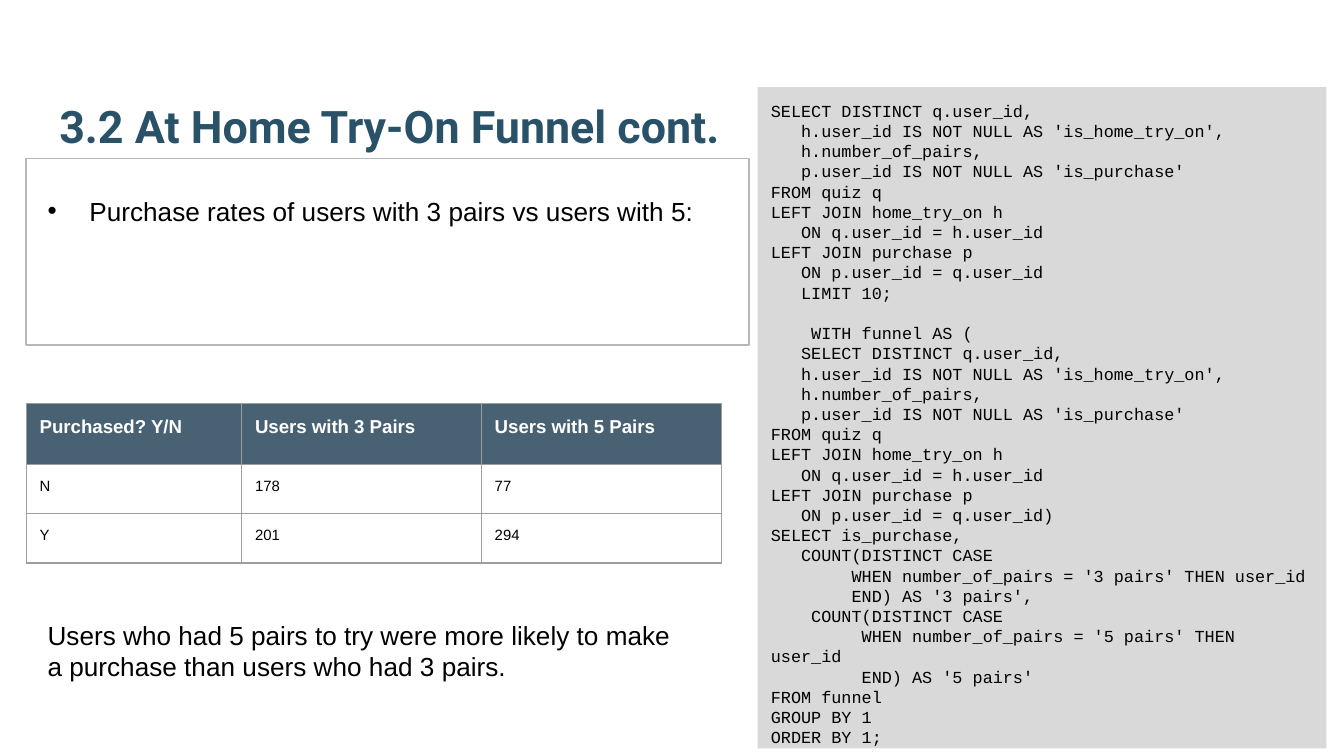
import pptx
import pptx.dml.color
import pptx.enum.shapes
import pptx.enum.text
import pptx.oxml.ns
import lxml.etree
from pptx.util import Cm, Pt

RGBColor = pptx.dml.color.RGBColor
ANCHOR = pptx.enum.text.MSO_ANCHOR
RECT = pptx.enum.shapes.MSO_SHAPE.RECTANGLE

TEAL = RGBColor(0x29, 0x52, 0x69)
HEADER = RGBColor(0x20, 0x40, 0x56)
PANEL = RGBColor(0xD9, 0xD9, 0xD9)
FRAME = RGBColor(0xB7, 0xB7, 0xB7)
GRID = RGBColor(0x9E, 0x9E, 0x9E)
BLACK = RGBColor(0, 0, 0)
WHITE = RGBColor(0xFF, 0xFF, 0xFF)

# Content
TITLE = "3.2 At Home Try-On Funnel cont."
BULLET = "Purchase rates of users with 3 pairs vs users with 5:"
CONCLUSION = ("Users who had 5 pairs to try were more likely to make "
              "a purchase than users who had 3 pairs.")
ROWS = [
    ("Purchased? Y/N", "Users with 3 Pairs", "Users with 5 Pairs"),
    ("N", "178", "77"),
    ("Y", "201", "294"),
]
FUNNEL_QUERY = """SELECT DISTINCT q.user_id,
   h.user_id IS NOT NULL AS 'is_home_try_on',
   h.number_of_pairs,
   p.user_id IS NOT NULL AS 'is_purchase'
FROM quiz q
LEFT JOIN home_try_on h
   ON q.user_id = h.user_id
LEFT JOIN purchase p
   ON p.user_id = q.user_id"""
CODE = FUNNEL_QUERY + """
   LIMIT 10;
   
    WITH funnel AS (
   """ + FUNNEL_QUERY + """)
SELECT is_purchase,
   COUNT(DISTINCT CASE
        WHEN number_of_pairs = '3 pairs' THEN user_id
        END) AS '3 pairs',
    COUNT(DISTINCT CASE
         WHEN number_of_pairs = '5 pairs' THEN user_id
         END) AS '5 pairs'
FROM funnel
GROUP BY 1
ORDER BY 1;"""

# Layout in centimetres: left, top, width, height
TITLE_BOX = (0.87, 0.79, 23.67, 2.34)
CODE_BOX = (14.32, 1.65, 10.75, 12.5)
FRAME_BOX = (0.49, 3, 13.67, 3.52)
BULLET_BOX = (0.65, 3.56, 13.31, 1.45)
CONCLUSION_BOX = (0.65, 11.58, 12.45, 1.45)
TABLE_AT = (0.5, 7.62)
COL_WIDTHS = (4.07, 4.53, 4.53)
ROW_HEIGHTS = (1.16, 0.93, 0.93)
INSET = 0.25
BULLET_INDENT = 0.79


def cms(box):
    return [Cm(v) for v in box]


def sub(parent, tag, **attrs):
    return lxml.etree.SubElement(parent, pptx.oxml.ns.qn(tag), attrs)


def write(tf, text, size, font="Arial", color=BLACK, bold=False, bullet=None):
    for i, line in enumerate(text.split("\n")):
        p = tf.paragraphs[0] if i == 0 else tf.add_paragraph()
        if bullet:
            pPr = p._p.get_or_add_pPr()
            pPr.set("marL", str(Cm(BULLET_INDENT)))
            pPr.set("indent", str(-Cm(BULLET_INDENT)))
            sub(sub(pPr, "a:buClr"), "a:srgbClr", val=str(BLACK))
            sub(pPr, "a:buFont", typeface="Arial")
            sub(pPr, "a:buChar", char=bullet)
        p.alignment = pptx.enum.text.PP_ALIGN.LEFT
        p.line_spacing = 1.0
        p.space_before = Pt(0)
        r = p.add_run()
        r.text = line
        r.font.name, r.font.size, r.font.bold = font, Pt(size), bold
        r.font.color.rgb = color


def set_frame(tf, anchor=ANCHOR.TOP, inset_y=0.13):
    tf.word_wrap = True
    tf.auto_size = pptx.enum.text.MSO_AUTO_SIZE.NONE
    tf.vertical_anchor = anchor
    tf.margin_left = tf.margin_right = Cm(INSET)
    tf.margin_top = tf.margin_bottom = Cm(inset_y)


def place(sp, box):
    sp.left, sp.top, sp.width, sp.height = cms(box)


def add_rect(box):
    sp = s.shapes.add_shape(RECT, *cms(box))
    sp.shadow.inherit = False
    return sp


prs = pptx.Presentation()
prs.slide_width, prs.slide_height = Cm(25.4), Cm(14.29)
s = prs.slides.add_slide(prs.slide_layouts[1])

# Title
sp = s.shapes.title
place(sp, TITLE_BOX)
set_frame(sp.text_frame, ANCHOR.BOTTOM, INSET)
write(sp.text_frame, TITLE, 24, font="Roboto", color=TEAL, bold=True)

# Bullet and its frame
sp = s.placeholders[1]
place(sp, BULLET_BOX)
set_frame(sp.text_frame)
write(sp.text_frame, BULLET, 14, bullet="•")

sp = add_rect(FRAME_BOX)
sp.fill.background()
sp.line.color.rgb, sp.line.width = FRAME, Pt(0.75)

# Code panel
sp = add_rect(CODE_BOX)
sp.fill.solid()
sp.fill.fore_color.rgb = PANEL
sp.line.fill.background()
set_frame(sp.text_frame, inset_y=INSET)
write(sp.text_frame, CODE, 9, font="Courier New")

# Purchase table
table = s.shapes.add_table(
    len(ROWS), len(COL_WIDTHS), *cms(TABLE_AT),
    Cm(sum(COL_WIDTHS)), Cm(sum(ROW_HEIGHTS))).table
for col, width in zip(table.columns, COL_WIDTHS):
    col.width = Cm(width)
for i, (values, height) in enumerate(zip(ROWS, ROW_HEIGHTS)):
    table.rows[i].height = Cm(height)
    for j, value in enumerate(values):
        cell = table.cell(i, j)
        cell.margin_left = cell.margin_right = Cm(INSET)
        cell.margin_top = cell.margin_bottom = Cm(INSET)
        tcPr = cell._tc.get_or_add_tcPr()
        for side in ("a:lnL", "a:lnR", "a:lnT", "a:lnB"):
            ln = sub(tcPr, side, w=str(Pt(0.75)))
            sub(sub(ln, "a:solidFill"), "a:srgbClr", val=str(GRID))
        if i == 0:
            cell.fill.solid()
            cell.fill.fore_color.rgb = HEADER
            fill_color = tcPr.find(pptx.oxml.ns.qn("a:solidFill"))[0]
            sub(fill_color, "a:alpha", val="82000")
            write(cell.text_frame, value, 10, color=WHITE, bold=True)
        else:
            cell.fill.background()
            write(cell.text_frame, value, 8)

# Conclusion
sp = s.shapes.add_textbox(*cms(CONCLUSION_BOX))
set_frame(sp.text_frame)
write(sp.text_frame, CONCLUSION, 14)

prs.save("out.pptx")
